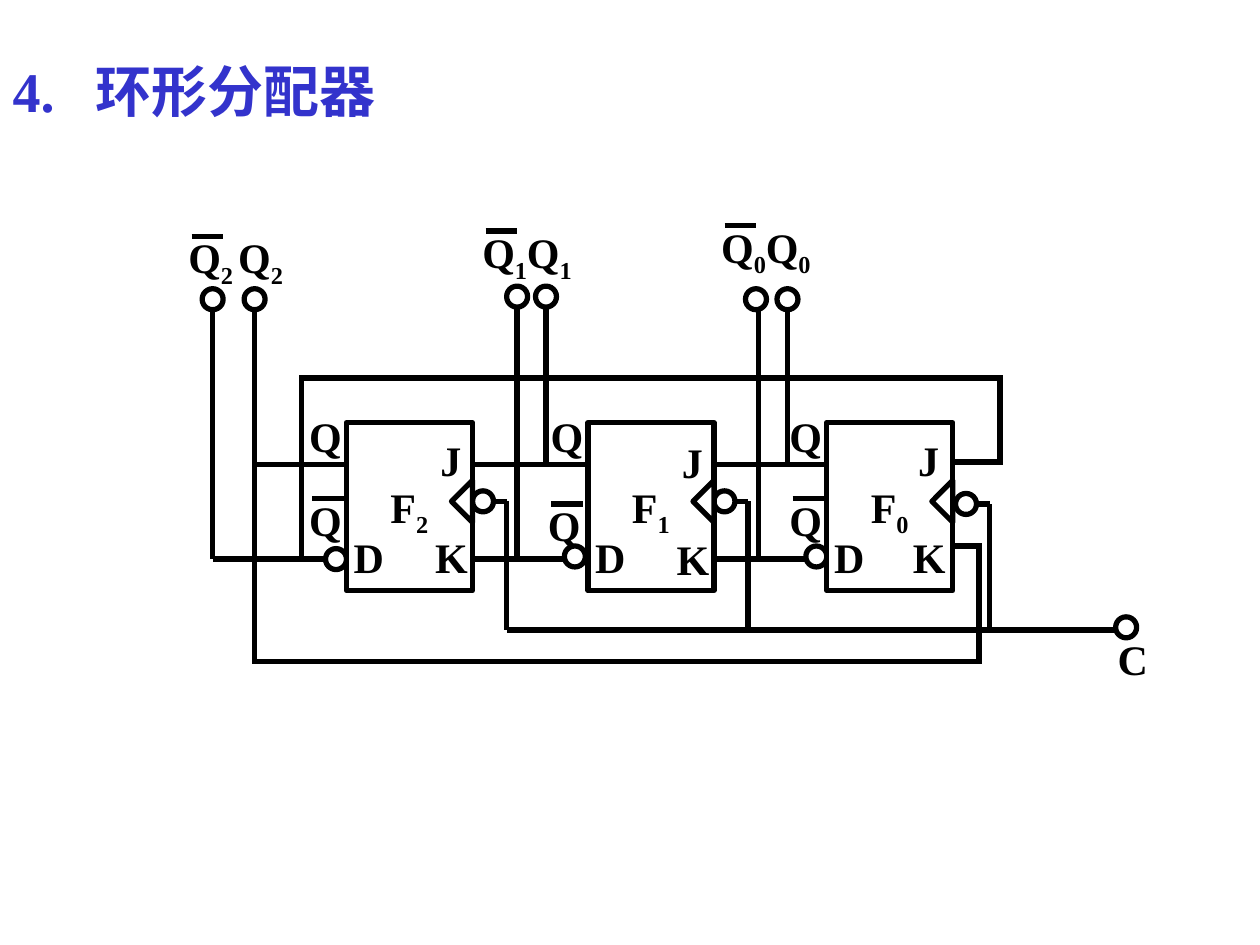
"""Build a slide showing a ring distributor made of three JK flip-flops."""
from dataclasses import dataclass
from typing import NamedTuple

from lxml import etree
from pptx import Presentation
from pptx import util as u
from pptx.dml.color import RGBColor
from pptx.enum import shapes, text
from pptx.oxml.ns import qn

BLACK = RGBColor(0x00, 0x00, 0x00)
WHITE = RGBColor(0xFF, 0xFF, 0xFF)
BLUE = RGBColor(0x33, 0x33, 0xCC)
FONT = "Times New Roman"
SLIDE_W, SLIDE_H = u.Inches(10), u.Inches(7.5)
COLS, ROWS = 480, 360
RING = 8


class Wire(NamedTuple):
    x1: float
    y1: float
    x2: float
    y2: float


@dataclass(frozen=True)
class FlipFlop:
    index: str
    left: int
    j_col: int
    j_row: int
    not_q_col: int
    not_q_row: int
    inverter_row: int
    clock_col: int
    clock_row: int


@dataclass(frozen=True)
class Output:
    index: str
    label_row: int
    label_cols: tuple[int, int]
    ring_row: int
    ring_cols: tuple[int, int]


FLIP_FLOPS = (
    FlipFlop("2", 132, 163, 163, 113, 186, 209, 180, 187),
    FlipFlop("1", 224, 255, 164, 204, 188, 208, 272, 187),
    FlipFlop("0", 315, 345, 163, 296, 186, 208, 364, 188),
)
OUTPUTS = (
    Output("2", 86, (67, 86), 110, (77, 93)),
    Output("1", 84, (179, 196), 109, (193, 204)),
    Output("0", 82, (270, 287), 110, (284, 296)),
)
STAGE_WIRES = (
    Wire(97, 177, 229, 177), Wire(272, 177, 321, 177),
    Wire(81, 213, 223, 213), Wire(269, 213, 315, 213),
)
OUTPUT_WIRES = (
    Wire(81, 113, 81, 213), Wire(97, 114, 97, 252),
    Wire(197, 110, 197, 213), Wire(208, 114, 208, 177),
    Wire(289, 114, 289, 213), Wire(300, 114, 300, 177),
)
FEEDBACK_WIRES = (
    Wire(362, 176, 382, 176), Wire(381, 144, 381, 176),
    Wire(114, 144, 382, 144), Wire(115, 144, 115, 214),
    Wire(362, 208, 374, 208), Wire(373, 209, 373, 253),
    Wire(96, 252, 373, 252),
)
CLOCK_WIRES = (
    Wire(181, 191, 193, 191), Wire(193, 191, 193, 240),
    Wire(273, 191, 285, 191), Wire(285, 191, 285, 240),
    Wire(365, 192, 377, 192), Wire(377, 192, 377, 241),
    Wire(193, 240, 429, 240),
)


def x(col: float) -> int:
    """Return the length of a number of grid columns."""
    return round(SLIDE_W * col / COLS)


def y(row: float) -> int:
    """Return the length of a number of grid rows."""
    return round(SLIDE_H * row / ROWS)


def draw_wire(s, wire: Wire) -> None:
    """Draw a straight wire."""
    cx = s.shapes.add_connector(
        shapes.MSO_CONNECTOR.STRAIGHT,
        x(wire.x1), y(wire.y1), x(wire.x2), y(wire.y2))
    cx.line.color.rgb = BLACK
    cx.line.width = u.Pt(3)
    etree.SubElement(cx._element.spPr, qn("a:effectLst"))


def draw_shape(s, kind, col: float, row: float, width: float, height: float):
    """Draw a white preset shape with a black outline."""
    sp = s.shapes.add_shape(kind, x(col), y(row), x(width), y(height))
    sp.shadow.inherit = False
    sp.fill.solid()
    sp.fill.fore_color.rgb = WHITE
    sp.line.color.rgb = BLACK
    sp.line.width = u.Pt(3)
    return sp


def draw_ring(s, col: float, row: float) -> None:
    """Draw a terminal or inversion ring."""
    draw_shape(s, shapes.MSO_SHAPE.OVAL, col, row, RING, RING)


def draw_label(s, name: str, col: float, row: float, index: str = "",
               negated: bool = False) -> None:
    """Write a signal name with an optional subscript and overbar."""
    if negated:
        draw_wire(s, Wire(col + 6, row + 4, col + 18, row + 4))
    tb = s.shapes.add_textbox(x(col), y(row), x(32), y(27 if index else 24))
    tf = tb.text_frame
    tf.word_wrap = True
    p = tf.paragraphs[0]
    p.text = name
    if index:
        r = p.add_run()
        r.text = index
        r._r.get_or_add_rPr().set("baseline", "-25000")
    for r in p.runs:
        r.font.name, r.font.size, r.font.bold = FONT, u.Pt(24), True
        r.font.color.rgb = BLACK


def draw_flip_flop(s, ff: FlipFlop) -> None:
    """Draw one flip-flop with its rings, clock mark and pin names."""
    draw_ring(s, ff.clock_col, ff.clock_row)
    draw_ring(s, ff.not_q_col + 11, ff.inverter_row)
    draw_shape(s, shapes.MSO_SHAPE.RECTANGLE, ff.left, 161, 48, 64)
    mark = draw_shape(s, shapes.MSO_SHAPE.ISOSCELES_TRIANGLE,
                      ff.left + 36, 187, 16, 8)
    mark.rotation = 270
    draw_label(s, "J", ff.j_col, ff.j_row)
    draw_label(s, "K", ff.j_col - 2, ff.j_row + 37)
    draw_label(s, "D", ff.left - 2, 200)
    draw_label(s, "F", ff.left + 12, 181, ff.index)
    draw_label(s, "Q", ff.left - 19, 154)
    draw_label(s, "Q", ff.not_q_col, ff.not_q_row, negated=True)


def draw_output(s, out: Output) -> None:
    """Draw the complementary output terminals of one stage."""
    for i, (ring_col, label_col) in enumerate(zip(out.ring_cols, out.label_cols)):
        draw_ring(s, ring_col, out.ring_row)
        draw_label(s, "Q", label_col, out.label_row, out.index, negated=i == 0)


def format_title(s) -> None:
    """Place and format the slide title."""
    sp = s.shapes.title
    sp.left, sp.top, sp.width, sp.height = x(0), y(19), x(168), y(31)
    tf = sp.text_frame
    tf.word_wrap = True
    tf.auto_size = text.MSO_AUTO_SIZE.NONE
    tf.vertical_anchor = text.MSO_ANCHOR.TOP
    p = tf.paragraphs[0]
    p.text = "4.\t环形分配器"
    p.alignment = text.PP_ALIGN.LEFT
    tabs = etree.SubElement(p._p.get_or_add_pPr(), qn("a:tabLst"))
    etree.SubElement(tabs, qn("a:tab"), pos=str(x(31.5)), algn="l")
    for r in p.runs:
        r.font.name, r.font.size, r.font.bold = FONT, u.Pt(32), True
        r.font.color.rgb = BLUE


def main() -> None:
    """Build and save the presentation."""
    prs = Presentation()
    prs.slide_width, prs.slide_height = SLIDE_W, SLIDE_H
    s = prs.slides.add_slide(prs.slide_layouts[5])
    format_title(s)
    for wire in STAGE_WIRES + OUTPUT_WIRES + FEEDBACK_WIRES + CLOCK_WIRES:
        draw_wire(s, wire)
    for ff in FLIP_FLOPS:
        draw_flip_flop(s, ff)
    for out in OUTPUTS:
        draw_output(s, out)
    draw_ring(s, 425, 235)
    draw_label(s, "C", 421, 239)
    prs.save("out.pptx")


if __name__ == "__main__":
    main()
